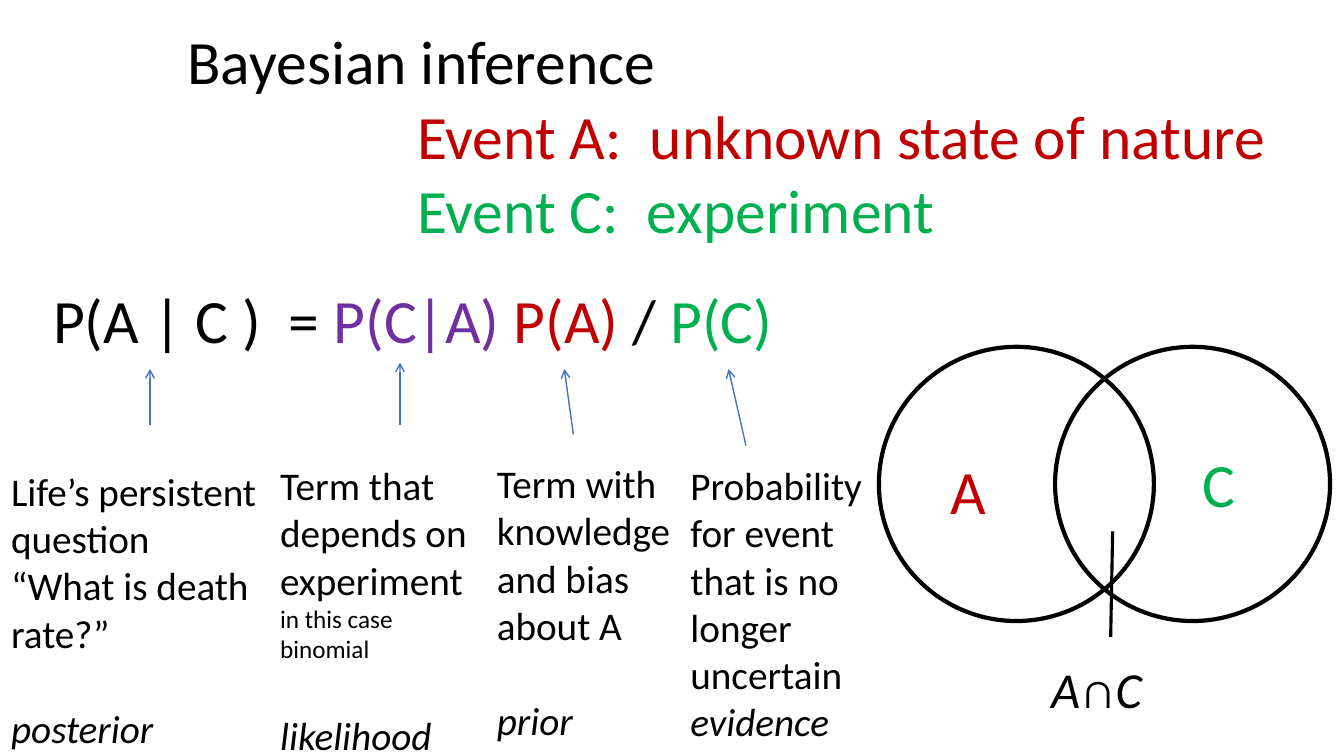
from dataclasses import dataclass

import pptx
import pptx.dml.color
import pptx.enum.shapes
import pptx.enum.text
import pptx.oxml
import pptx.oxml.ns
import pptx.util
from pptx.util import Cm

FONT = "Calibri"
COLORS = {
    "black": "000000",
    "red": "C00000",
    "green": "00B050",
    "purple": "7030A0",
    "blue": "4472C4",
}


@dataclass
class Span:
    text: str
    size: float = 28
    color: str = "black"
    italic: bool = False


@dataclass
class Line:
    spans: list[Span]
    space_before: float = 0


@dataclass
class Label:
    left: float
    top: float
    width: float
    height: float
    lines: list[Line]
    wrap: bool = False


@dataclass
class Stroke:
    start: tuple[float, float]
    end: tuple[float, float]
    color: str = "blue"
    weight: float = 1
    arrow: bool = True


def column(left: float, top: float, width: float, height: float, text: str,
           term: str, gap: float, note: str = "", wrap: bool = False) -> Label:
    lines = [Line([Span(row)]) for row in text.splitlines()]
    lines += [Line([Span(row, 18)]) for row in note.splitlines()]
    lines.append(Line([Span(term, italic=True)], gap))
    return Label(left, top, width, height, lines, wrap)


BLANK_ROW = 34.2
CIRCLE_LEFTS = (22.15, 26.59)
LABELS = [
    Label(30.05, 11.1, 1.37, 2.13, [Line([Span("C", 44, "green")])]),
    Label(23.7, 11.28, 1.42, 2.13, [Line([Span("A", 44, "red")])]),
    Label(26.24, 16.46, 2.84, 1.8, [Line([
        Span("A", 36, italic=True), Span("∩", 36), Span("C", 36, italic=True)])]),
    Label(10.26, 2.34, 22.12, 4.01, [
        Line([Span("Event A:  unknown state of nature", 44, "red")]),
        Line([Span("Event C:  experiment", 44, "green")])]),
    Label(1.09, 6.99, 18.85, 4.01, [Line([
        Span("P(A | C )  = ", 44), Span("P(C|A) ", 44, "purple"),
        Span("P(A) ", 44, "red"), Span("/ ", 44), Span("P(C)", 44, "green")])]),
    column(0.03, 11.66, 7.06, 8.64,
           "Life’s persistent\nquestion\n“What is death\nrate?”",
           "posterior", BLANK_ROW, wrap=True),
    column(6.81, 11.51, 5.28, 7.95, "Term that\ndepends on\nexperiment",
           "likelihood", BLANK_ROW, "in this case\nbinomial"),
    column(12.27, 11.46, 4.93, 7.44, "Term with\nknowledge\nand bias\nabout A",
           "prior", BLANK_ROW),
    column(17.15, 11.51, 4.88, 7.44,
           "Probability\nfor event that is no longer uncertain",
           "evidence", 0, wrap=True),
]
STROKES = [
    Stroke((27.99, 16.05), (28.04, 13.39), "black", 2.25, False),
    Stroke((3.78, 10.72), (3.78, 9.3)),
    Stroke((10.08, 10.72), (10.08, 9.14)),
    Stroke((14.45, 10.95), (14.22, 9.3)),
    Stroke((18.8, 11.23), (18.36, 9.3)),
]


def rgb(name: str) -> pptx.dml.color.RGBColor:
    return pptx.dml.color.RGBColor.from_string(COLORS[name])


def format_font(font, span: Span) -> None:
    font.name = FONT
    font.size = pptx.util.Pt(span.size)
    font.italic = span.italic
    font.color.rgb = rgb(span.color)


def add_title(page, span: Span) -> None:
    title = page.shapes.title
    title.left, title.top = Cm(4.47), Cm(0.18)
    title.width, title.height = Cm(24.74), Cm(2.9)
    frame = title.text_frame
    frame.text = span.text
    frame.auto_size = pptx.enum.text.MSO_AUTO_SIZE.NONE
    frame.vertical_anchor = pptx.enum.text.MSO_ANCHOR.MIDDLE
    para = frame.paragraphs[0]
    para.alignment = pptx.enum.text.PP_ALIGN.LEFT
    para.line_spacing = 0.9
    format_font(para.runs[0].font, span)


def add_circle(page, left: float) -> None:
    circle = page.shapes.add_shape(
        pptx.enum.shapes.MSO_SHAPE.OVAL, Cm(left), Cm(8.74), Cm(6.93), Cm(6.91))
    circle.shadow.inherit = False
    circle.fill.background()
    circle.line.color.rgb = rgb("black")
    circle.line.width = pptx.util.Pt(3)


def add_label(page, label: Label) -> None:
    box = page.shapes.add_textbox(
        Cm(label.left), Cm(label.top), Cm(label.width), Cm(label.height))
    frame = box.text_frame
    frame.word_wrap = label.wrap
    frame.auto_size = pptx.enum.text.MSO_AUTO_SIZE.SHAPE_TO_FIT_TEXT
    for index, line in enumerate(label.lines):
        para = frame.add_paragraph() if index else frame.paragraphs[0]
        if line.space_before:
            para.space_before = pptx.util.Pt(line.space_before)
        for span in line.spans:
            run = para.add_run()
            run.text = span.text
            format_font(run.font, span)


def add_stroke(page, stroke: Stroke) -> None:
    connector = page.shapes.add_connector(
        pptx.enum.shapes.MSO_CONNECTOR.STRAIGHT,
        *map(Cm, stroke.start), *map(Cm, stroke.end))
    connector.line.color.rgb = rgb(stroke.color)
    connector.line.width = pptx.util.Pt(stroke.weight)
    properties = connector._element.spPr
    if stroke.arrow:
        outline = properties.find(pptx.oxml.ns.qn("a:ln"))
        outline.append(pptx.oxml.parse_xml(
            f'<a:tailEnd {pptx.oxml.ns.nsdecls("a")} type="arrow"/>'))
    properties.append(pptx.oxml.parse_xml(
        f'<a:effectLst {pptx.oxml.ns.nsdecls("a")}/>'))


def main() -> None:
    deck = pptx.Presentation()
    deck.slide_width, deck.slide_height = Cm(33.87), Cm(19.05)
    page = deck.slides.add_slide(deck.slide_layouts.get_by_name("Title Only"))
    add_title(page, Span("Bayesian inference", 44))
    for left in CIRCLE_LEFTS:
        add_circle(page, left)
    for label in LABELS:
        add_label(page, label)
    for stroke in STROKES:
        add_stroke(page, stroke)
    deck.save("out.pptx")


if __name__ == "__main__":
    main()
